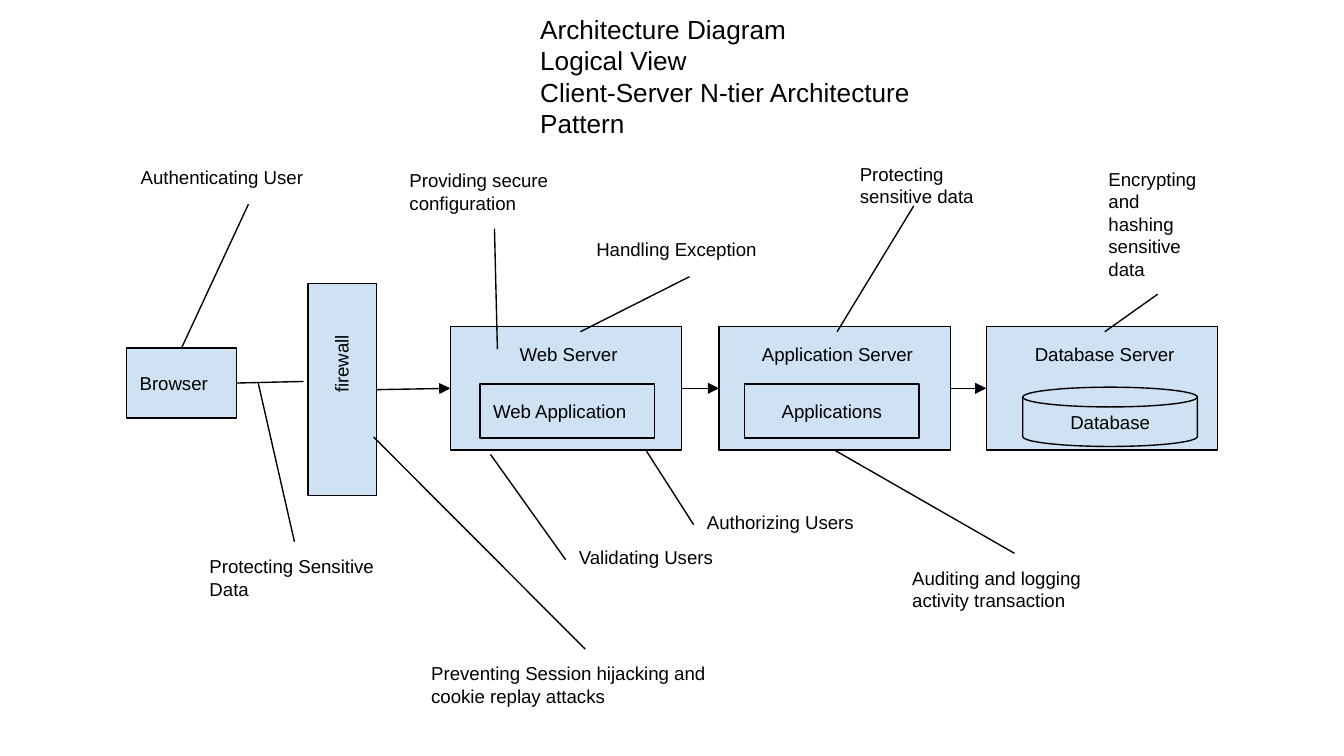
"""Build a slide with a logical view of a client-server n-tier architecture."""
from lxml import etree
from pptx import Presentation
from pptx.dml.color import RGBColor
from pptx.enum.shapes import MSO_CONNECTOR, MSO_SHAPE
from pptx.enum.text import MSO_ANCHOR, PP_ALIGN
from pptx.oxml.ns import qn
from pptx.util import Cm, Pt

RECT, DISK = MSO_SHAPE.RECTANGLE, MSO_SHAPE.FLOWCHART_MAGNETIC_DISK
STRAIGHT = MSO_CONNECTOR.STRAIGHT
TOP_ANCHOR, MIDDLE = MSO_ANCHOR.TOP, MSO_ANCHOR.MIDDLE
LEFT_ALIGN, CENTER = PP_ALIGN.LEFT, PP_ALIGN.CENTER
TOP, LEFT, BOTTOM, RIGHT = range(4)

COLORS = {"background": "FFFFFF", "ink": "000000", "tier": "CFE2F3"}
FONT = "Arial"
INSET = 0.25
LABEL_HEIGHT = 0.94

HEADING = ["Architecture Diagram", "Logical View", "Client-Server N-tier Architecture Pattern"]
HEADING_BOX = (9.96, 0, 8.33, 2.9)

BROWSER_BOX = (2.39, 6.58, 2.08, 1.32)
FIREWALL_BOX = (5.82, 5.36, 1.3, 4.01)
FIREWALL_LABEL_BOX = (5.49, 6.2, 2.01, LABEL_HEIGHT)

SERVER_TOP, SERVER_WIDTH, SERVER_HEIGHT = 6.17, 4.37, 2.34
SERVERS = [
    ("Web Server", 8.51, "Web Application", RECT, (9.07, 7.26, 3.3, 1.02), LEFT_ALIGN),
    ("Application Server", 13.59, "Applications", RECT, (14.07, 7.26, 3.3, 1.02), CENTER),
    ("Database Server", 18.64, "Database", DISK, (19.33, 7.32, 3.3, 1.12), CENTER),
]

# Each note: text, box, start of its pointer and end of its pointer.
NOTES = [
    ("Authenticating User", (2.41, 2.92, 4.57, 0.94), BOTTOM, ("Browser", TOP)),
    ("Protecting Sensitive Data", (3.71, 10.24, 3.71, 1.37), TOP, (4.88, 7.24)),
    ("Preventing Session hijacking and cookie replay attacks",
     (7.9, 12.27, 6.32, 1.37), TOP, (7.06, 8.26)),
    ("Providing secure configuration", (7.49, 2.95, 3.71, 1.37), BOTTOM, (9.4, 6.6)),
    ("Handling Exception", (11.02, 4.29, 3.58, 0.94), (13.03, 5.23), (10.97, 6.27)),
    ("Authorizing Users", (13.11, 9.45, 4.01, 0.94), LEFT, (12.22, 8.53)),
    ("Validating Users", (10.69, 10.11, 4.37, 0.94), LEFT, (9.27, 8.59)),
    ("Auditing and logging activity transaction",
     (16.99, 10.46, 4.37, 1.37), TOP, ("Application Server", BOTTOM)),
    ("Protecting sensitive data", (16, 2.82, 3.07, 1.37), (17.27, 3.89), (15.82, 6.27)),
    ("Encrypting and hashing sensitive data",
     (20.7, 2.92, 2.36, 2.64), BOTTOM, (20.88, 6.27)),
]


def color(role):
    return RGBColor.from_string(COLORS[role])


def write(holder, lines, size=10, align=LEFT_ALIGN, anchor=TOP_ANCHOR):
    frame = holder.text_frame
    frame.word_wrap = True
    frame.vertical_anchor = anchor
    frame.margin_left = frame.margin_right = Cm(INSET)
    frame.margin_top = frame.margin_bottom = Cm(INSET)
    frame.text = "\n".join(lines)
    for paragraph in frame.paragraphs:
        paragraph.alignment = align
        paragraph.font.name = FONT
        paragraph.font.size = Pt(size)
        paragraph.font.color.rgb = color("ink")


def add_label(slide, lines, box, size=10, align=LEFT_ALIGN):
    label = slide.shapes.add_textbox(*map(Cm, box))
    write(label, lines, size, align)
    return label


def add_tier(slide, kind, box, text=None, align=LEFT_ALIGN):
    tier = slide.shapes.add_shape(kind, *map(Cm, box))
    tier.shadow.inherit = False
    tier.fill.solid()
    tier.fill.fore_color.rgb = color("tier")
    tier.line.color.rgb = color("ink")
    tier.line.width = Pt(0.75)
    if text:
        write(tier, [text], align=align, anchor=MIDDLE)
    return tier


def add_link(slide, start, end, arrow=False):
    """Join two ends, each either an (x, y) point or a (shape, side) pair."""
    link = slide.shapes.add_connector(STRAIGHT, 0, 0, 0, 0)
    if isinstance(start[0], (int, float)):
        link.begin_x, link.begin_y = map(Cm, start)
    else:
        link.begin_connect(*start)
    if isinstance(end[0], (int, float)):
        link.end_x, link.end_y = map(Cm, end)
    else:
        link.end_connect(*end)
    link.line.color.rgb = color("ink")
    link.line.width = Pt(0.75)
    if arrow:
        etree.SubElement(link.line._get_or_add_ln(), qn("a:tailEnd"), type="triangle")
    etree.SubElement(link._element.spPr, qn("a:effectLst"))


def main():
    deck = Presentation()
    deck.slide_width, deck.slide_height = Cm(25.4), Cm(14.29)
    slide = deck.slides.add_slide(deck.slide_layouts[6])
    slide.background.fill.solid()
    slide.background.fill.fore_color.rgb = color("background")

    tiers = {
        "Browser": add_tier(slide, RECT, BROWSER_BOX, "Browser"),
        "firewall": add_tier(slide, RECT, FIREWALL_BOX),
    }
    add_label(slide, ["firewall"], FIREWALL_LABEL_BOX).rotation = 270

    for server, left, part, part_kind, part_box, part_align in SERVERS:
        server_box = (left, SERVER_TOP, SERVER_WIDTH, SERVER_HEIGHT)
        tiers[server] = add_tier(slide, RECT, server_box)
        add_label(slide, [server], (left + 0.23, 6.27, 4.01, LABEL_HEIGHT), align=CENTER)
        add_tier(slide, part_kind, part_box, part, part_align)

    add_link(slide, (tiers["Browser"], RIGHT), (5.74, 7.21))
    chain = ["firewall"] + [server[0] for server in SERVERS]
    for source, target in zip(chain, chain[1:]):
        add_link(slide, (tiers[source], RIGHT), (tiers[target], LEFT), arrow=True)

    for text, box, start, end in NOTES:
        note = add_label(slide, [text], box)
        if isinstance(start, int):
            start = (note, start)
        if end[0] in tiers:
            end = (tiers[end[0]], end[1])
        add_link(slide, start, end)

    add_label(slide, HEADING, HEADING_BOX, size=14)
    deck.save("out.pptx")


if __name__ == "__main__":
    main()
